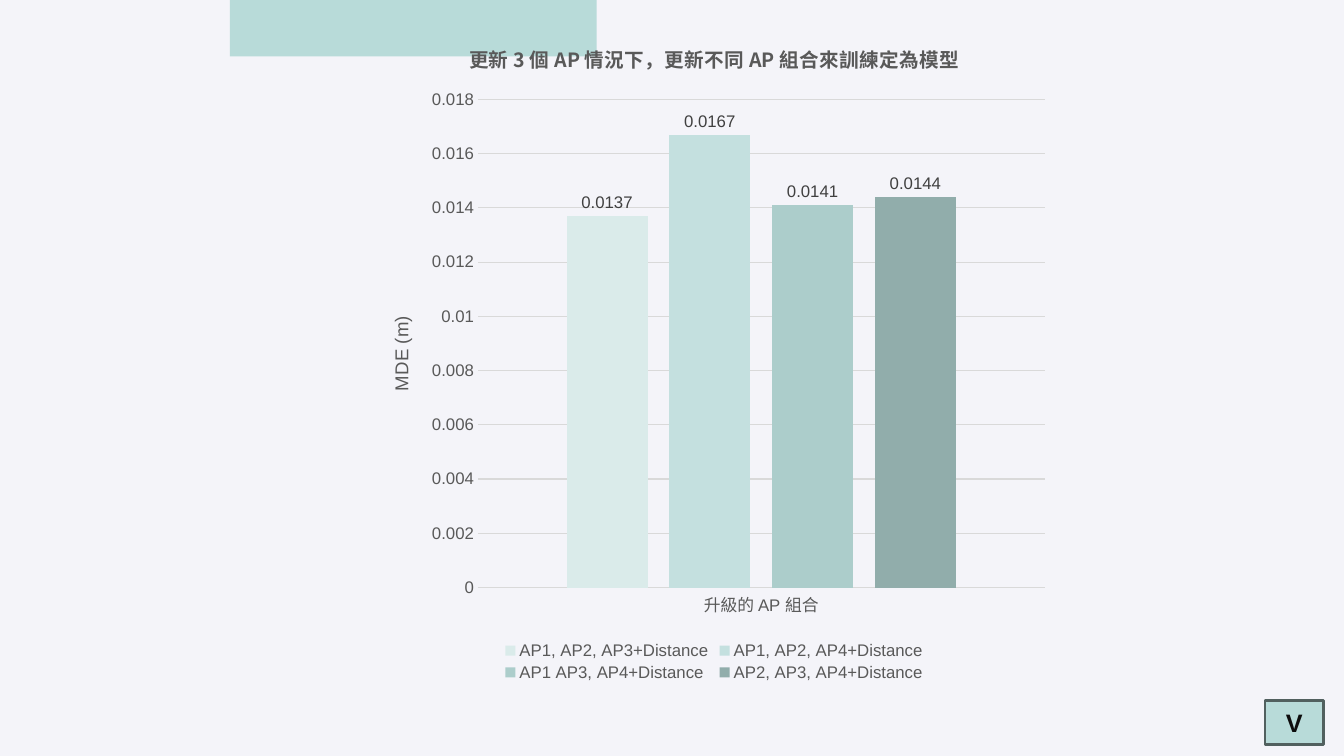
from dataclasses import dataclass

from lxml import etree
from pptx import Presentation
from pptx.chart.data import CategoryChartData
from pptx.dml.color import RGBColor
from pptx.enum import chart as charts, shapes, text
from pptx.oxml import parse_xml
from pptx.oxml.ns import nsdecls, qn
from pptx.util import Pt


@dataclass(frozen=True)
class Theme:
    background: str = "F4F4F9"
    accent: str = "B8DBD9"
    outline: str = "51605F"
    button_text: str = "0D0D0D"
    chart_text: str = "595959"
    label_text: str = "404040"
    grid: str = "D9D9D9"
    font: str = "Arial"
    title_font: str = "Noto Sans CJK SC"
    button_size: float = 18
    title_size: float = 14
    axis_title_size: float = 13.3
    chart_size: float = 12


MDE_BY_COMBINATION = [
    ("AP1, AP2, AP3+Distance", 0.0137, "DAEBEA"),
    ("AP1, AP2, AP4+Distance", 0.0167, "C4E0DF"),
    ("AP1 AP3, AP4+Distance", 0.0141, "ACCDCB"),
    ("AP2, AP3, AP4+Distance", 0.0144, "91ADAB"),
]


class SlideBuilder:
    def __init__(self, slide, theme):
        self.slide = slide
        self.theme = theme
        self.fill(slide.background, theme.background)

    def fill(self, target, color):
        target.fill.solid()
        target.fill.fore_color.rgb = RGBColor.from_string(color)

    def style_font(self, font, size, color, bold=False, name=None):
        font.name = name or self.theme.font
        font.size = Pt(size)
        font.bold = bold
        font.color.rgb = RGBColor.from_string(color)

    def style_line(self, line, color, width):
        line.color.rgb = RGBColor.from_string(color)
        line.width = Pt(width)

    def rectangle(self, left, top, width, height):
        shape = self.slide.shapes.add_shape(
            shapes.MSO_SHAPE.RECTANGLE, Pt(left), Pt(top), Pt(width), Pt(height))
        shape.shadow.inherit = False
        self.fill(shape, self.theme.accent)
        shape.line.fill.background()
        return shape

    def button(self, label, left, top, width, height):
        shape = self.rectangle(left, top, width, height)
        self.style_line(shape.line, self.theme.outline, 2)
        frame = shape.text_frame
        frame.text = label
        frame.vertical_anchor = text.MSO_ANCHOR.MIDDLE
        paragraph = frame.paragraphs[0]
        paragraph.alignment = text.PP_ALIGN.CENTER
        self.style_font(paragraph.runs[0].font, self.theme.button_size,
                        self.theme.button_text, bold=True)

    def column_chart(self, title, category, series, left, top, width, height):
        data = CategoryChartData(number_format="General")
        data.categories = [category]
        for name, value, _ in series:
            data.add_series(name, [value])
        chart = self.slide.shapes.add_chart(
            charts.XL_CHART_TYPE.COLUMN_CLUSTERED,
            Pt(left), Pt(top), Pt(width), Pt(height), data).chart
        theme = self.theme
        self.style_font(chart.font, theme.chart_size, theme.chart_text)
        self.chart_title(chart, title)
        chart.has_legend = True
        chart.legend.position = charts.XL_LEGEND_POSITION.BOTTOM
        chart.legend.include_in_layout = False
        self.style_font(chart.legend.font, theme.chart_size, theme.chart_text)
        plot = chart.plots[0]
        plot.gap_width = 219
        plot.overlap = -27
        plot.vary_by_categories = False
        for column, (_, _, color) in zip(plot.series, series):
            self.fill(column.format, color)
            labels = column.data_labels
            labels.show_value = True
            labels.position = charts.XL_LABEL_POSITION.OUTSIDE_END
            self.style_font(labels.font, theme.chart_size, theme.label_text)
        return chart

    def chart_title(self, chart, title):
        chart.has_title = True
        chart.chart_title.include_in_layout = False
        frame = chart.chart_title.text_frame
        frame.text = title
        font = frame.paragraphs[0].runs[0].font
        self.style_font(font, self.theme.title_size, self.theme.chart_text,
                        bold=True, name=self.theme.title_font)
        latin = frame.paragraphs[0].runs[0]._r.rPr.find(qn("a:latin"))
        east_asian = etree.Element(qn("a:ea"), typeface=self.theme.title_font)
        latin.addnext(east_asian)

    def axes(self, chart, value_title, maximum, step):
        theme = self.theme
        for axis in (chart.category_axis, chart.value_axis):
            axis.major_tick_mark = charts.XL_TICK_MARK.NONE
            axis.minor_tick_mark = charts.XL_TICK_MARK.NONE
            self.style_font(axis.tick_labels.font, theme.chart_size, theme.chart_text)
        self.style_line(chart.category_axis.format.line, theme.grid, 0.75)
        value_axis = chart.value_axis
        value_axis.minimum_scale = 0
        value_axis.maximum_scale = maximum
        value_axis.major_unit = step
        value_axis.format.line.fill.background()
        self.style_line(value_axis.major_gridlines.format.line, theme.grid, 0.75)
        frame = value_axis.axis_title.text_frame
        frame.text = value_title
        self.style_font(frame.paragraphs[0].runs[0].font,
                        theme.axis_title_size, theme.chart_text)

    def plot_layout(self, chart, **fractions):
        """Place the inner plot area by fractions of the chart: x, y, w, h."""
        area = chart._chartSpace.chart.plotArea
        for layout in area.findall(qn("c:layout")):
            area.remove(layout)
        sizes = "".join(f'<c:{key} val="{value}"/>' for key, value in fractions.items())
        area.insert(0, parse_xml(
            f'<c:layout {nsdecls("c")}><c:manualLayout><c:layoutTarget val="inner"/>'
            f'<c:xMode val="edge"/><c:yMode val="edge"/>{sizes}'
            '</c:manualLayout></c:layout>'))


def main():
    presentation = Presentation()
    presentation.slide_width = Pt(960)
    presentation.slide_height = Pt(540)
    slide = presentation.slides.add_slide(presentation.slide_layouts[6])
    builder = SlideBuilder(slide, Theme())
    builder.rectangle(164.2, -68.4, 262.1, 108.7)
    builder.button("V", 903.6, 500.4, 41.8, 31.7)
    chart = builder.column_chart(
        "更新 3 個 AP 情況下，更新不同 AP 組合來訓練定為模型", "升級的 AP 組合",
        MDE_BY_COMBINATION, 264.2, 14.4, 491.8, 475.2)
    builder.axes(chart, "MDE (m)", maximum=0.018, step=0.002)
    builder.plot_layout(chart, x=0.157, y=0.119, w=0.823, h=0.734)
    presentation.save("out.pptx")


if __name__ == "__main__":
    main()
